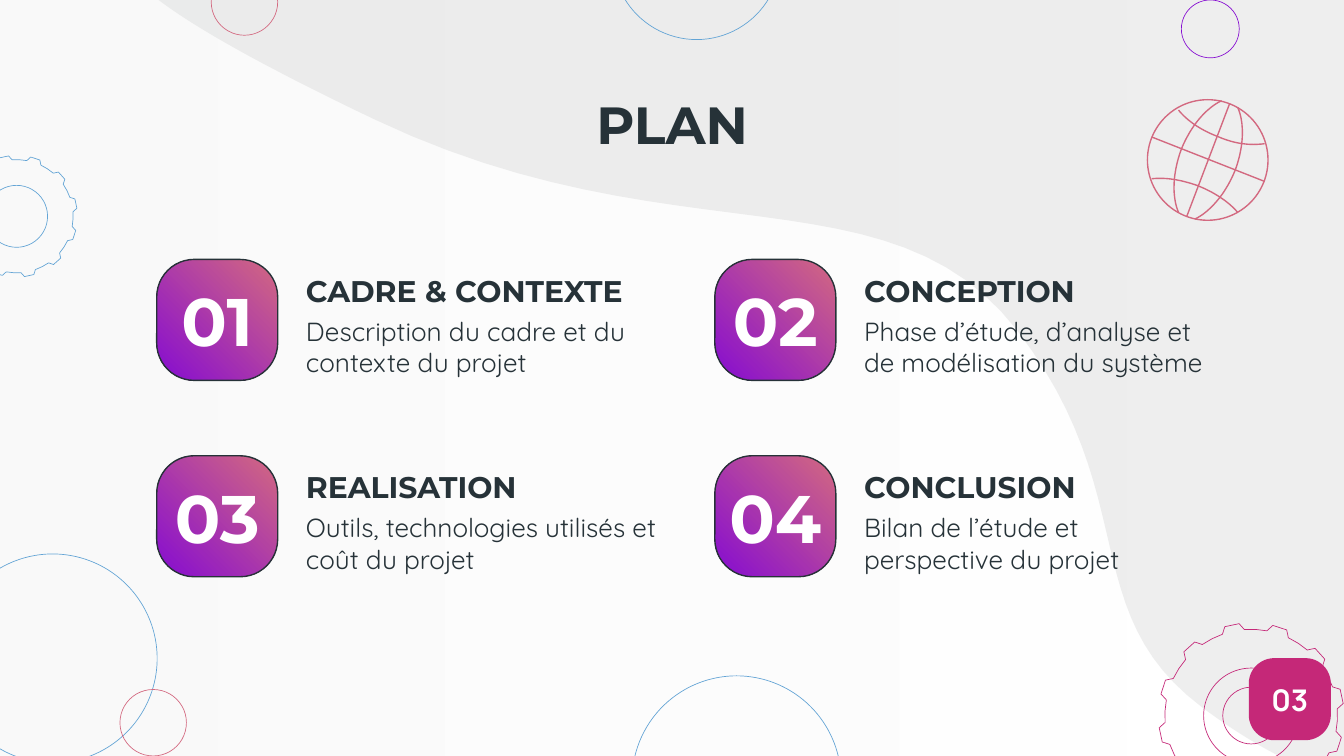
import math
from lxml import etree
from pptx import Presentation
from pptx.dml.color import RGBColor
from pptx.enum import shapes, text
from pptx.oxml import ns
from pptx.util import Pt

WHITE = RGBColor(0xFF, 0xFF, 0xFF)
MIST = RGBColor(0xF3, 0xF3, 0xF3)
GREY = RGBColor(0xD6, 0xD7, 0xD7)
INK = RGBColor(0x26, 0x32, 0x38)
BLUE = RGBColor(0x63, 0xA4, 0xD5)
PURPLE = RGBColor(0x86, 0x0C, 0xD1)
ROSE = RGBColor(0xD3, 0x69, 0x80)
MAGENTA = RGBColor(0xC5, 0x28, 0x78)

TITLE = "PLAN"
PAGE_NUMBER = "03"
TOPICS = [
    ("CADRE & CONTEXTE", "Description du cadre et du contexte du projet", 203),
    ("CONCEPTION", "Phase d’étude, d’analyse et de modélisation du système", 246.2),
    ("REALISATION", "Outils, technologies utilisés et coût du projet", 203),
    ("CONCLUSION", "Bilan de l’étude et perspective du projet", 203),
]

RINGS = [
    (28.2, 352.8, 112, BLUE),
    (648.4, 15.5, 31, PURPLE),
    (131, 1.1, 35.6, ROSE),
    (373.2, -23.8, 90, BLUE),
    (394.6, 418.1, 112, BLUE),
    (82.1, 387.2, 35.6, ROSE),
]
GEARS = [
    (8.9, 115.9, 32.6, [16.6], BLUE),
    (670.3, 383.4, 49.7, [25.5, 15.2], MAGENTA),
]
TEETH = 12
WAVE = [
    (729, 423), (706.3, 416.2), (676.1, 403.2), (643.7, 378.7),
    (576, 327.6), (612.7, 265.7), (545, 177.1),
    (476.6, 88.6), (361.4, 140.4), (200.9, 64.1),
    (126.7, 28.8), (92.2, 7.2), (77, -6.5),
]
GLOBE = (647, 85.7, 64.6, ROSE)
GLOBE_AXES = [(658.8, 55.4, 635.8, 115.9), (617, 73.4, 677.5, 97.2)]
GLOBE_ARCS = [
    [(631.4, 113.8), (631.4, 113.8), (625, 101.5), (632.9, 79.9),
     (641.5, 59), (654.5, 54), (654.5, 54)],
    [(640.1, 117.4), (640.1, 117.4), (653, 112.3), (661.7, 91.4),
     (669.6, 69.8), (663.1, 57.6), (663.1, 57.6)],
    [(663.1, 113.8), (659.5, 109.4), (652.3, 103.7), (641.5, 99.4),
     (631.4, 95.8), (622.8, 95), (617, 95.8)],
    [(631.4, 59), (635, 63.4), (641.5, 69.1), (653, 73.4),
     (663.1, 77.8), (671.8, 77.8), (677.5, 77)],
]

BADGE = 64.8
LEFT, TOP = 84, 139
COLUMN_STEP, ROW_STEP = 299, 105.2

deck = Presentation()
deck.slide_width, deck.slide_height = Pt(720), Pt(405)
page = deck.slides.add_slide(deck.slide_layouts[6])


def style(shape, line=None, weight=0.36, fill=None):
    shape.shadow.inherit = False
    if fill is None:
        shape.fill.background()
    else:
        shape.fill.solid()
        shape.fill.fore_color.rgb = fill
    if line is None:
        shape.line.fill.background()
    else:
        shape.line.color.rgb = line
        shape.line.width = Pt(weight)
    return shape


def add_preset(kind, left, top, width, height, **look):
    shape = page.shapes.add_shape(kind, Pt(left), Pt(top), Pt(width), Pt(height))
    return style(shape, **look)


def add_ring(x, y, diameter, color, weight=0.36):
    add_preset(shapes.MSO_SHAPE.OVAL, x - diameter / 2, y - diameter / 2,
               diameter, diameter, line=color, weight=weight)


def add_outline(points, close=True, **look):
    points = [(Pt(x), Pt(y)) for x, y in points]
    builder = page.shapes.build_freeform(*points[0], scale=1)
    builder.add_line_segments(points[1:], close=close)
    return style(builder.convert_to_shape(), **look)


def curve(knots, steps=24):
    points = [knots[0]]
    for start in range(0, len(knots) - 1, 3):
        for step in range(1, steps + 1):
            t = step / steps
            weights = ((1 - t) ** 3, 3 * t * (1 - t) ** 2, 3 * t * t * (1 - t), t ** 3)
            section = knots[start:start + 4]
            points.append(tuple(sum(w * knot[axis] for w, knot in zip(weights, section))
                                for axis in (0, 1)))
    return points


def gear(x, y, radius):
    profile = [(-7.5, 0.93), (-4.5, 1), (4.5, 1), (7.5, 0.93), (15, 0.93)]
    points = []
    for tooth in range(TEETH):
        for offset, reach in profile:
            angle = math.radians(tooth * 360 / TEETH - 12 + offset)
            points.append((x + radius * reach * math.cos(angle),
                           y + radius * reach * math.sin(angle)))
    return points


def add_gradient(shape, angle, *colors):
    shape.fill.gradient()
    shape.fill.gradient_angle = angle
    for stop, color in zip(shape.fill.gradient_stops, colors):
        stop.color.rgb = color


def set_alpha(shape, percent):
    for color in shape._element.spPr.iter(ns.qn("a:srgbClr")):
        etree.SubElement(color, ns.qn("a:alpha")).set("val", str(percent * 1000))


def write(shape, words, font, size, color, bold, align, inset):
    frame = shape.text_frame
    frame.word_wrap = True
    frame.vertical_anchor = text.MSO_ANCHOR.MIDDLE
    frame.margin_left = frame.margin_right = Pt(inset)
    frame.margin_top = frame.margin_bottom = Pt(inset)
    para = frame.paragraphs[0]
    para.text = words
    para.alignment = align
    para.font.name, para.font.size, para.font.bold = font, Pt(size), bold
    para.font.color.rgb = color


def add_text(left, top, width, height, words, font, size, bold=False,
             align=text.PP_ALIGN.LEFT):
    box = page.shapes.add_textbox(Pt(left), Pt(top), Pt(width), Pt(height))
    write(box, words, font, size, INK, bold, align, 7.2)


def add_badge(left, top, size, words, font, font_size, **look):
    badge = add_preset(shapes.MSO_SHAPE.ROUNDED_RECTANGLE, left, top, size, size, **look)
    badge.adjustments[0] = 0.31
    write(badge, words, font, font_size, WHITE, True, text.PP_ALIGN.CENTER, 0)
    return badge


backdrop = add_preset(shapes.MSO_SHAPE.RECTANGLE, -5, -5, 730, 415)
add_gradient(backdrop, 180, WHITE, MIST)
set_alpha(backdrop, 41)
wave = add_outline([(740, -18), (740, 423)] + curve(WAVE) + [(77, -18)], fill=GREY)
set_alpha(wave, 41)

for ring in RINGS:
    add_ring(*ring)
for x, y, radius, holes, color in GEARS:
    add_outline(gear(x, y, radius), line=color)
    for hole in holes:
        add_ring(x, y, 2 * hole, color)

add_text(56.2, 51.8, 607.6, 28.8, TITLE, "Montserrat", 28, True, text.PP_ALIGN.CENTER)
for index, (heading, summary, heading_width) in enumerate(TOPICS):
    row, column = divmod(index, 2)
    left, top = LEFT + column * COLUMN_STEP, TOP + row * ROW_STEP
    badge = add_badge(left, top, BADGE, f"{index + 1:02}", "Montserrat", 36,
                      line=INK, weight=0.75)
    add_gradient(badge, 225, ROSE, PURPLE)
    add_text(left + 72.8, top - 0.8, heading_width, 34.6, heading, "Montserrat", 16, True)
    add_text(left + 72.8, top + 28, 203, 37.4, summary, "Quicksand", 14)

add_ring(*GLOBE, weight=0.75)
for ends in GLOBE_AXES:
    axis = page.shapes.add_connector(shapes.MSO_CONNECTOR.STRAIGHT, *map(Pt, ends))
    axis.line.color.rgb = ROSE
    axis.line.width = Pt(0.75)
    etree.SubElement(axis._element.spPr, ns.qn("a:effectLst"))
for arc in GLOBE_ARCS:
    add_outline(curve(arc), close=False, line=ROSE, weight=0.75)

add_badge(669, 352.6, 44, PAGE_NUMBER, "Manrope", 16, fill=MAGENTA)
deck.save("out.pptx")
